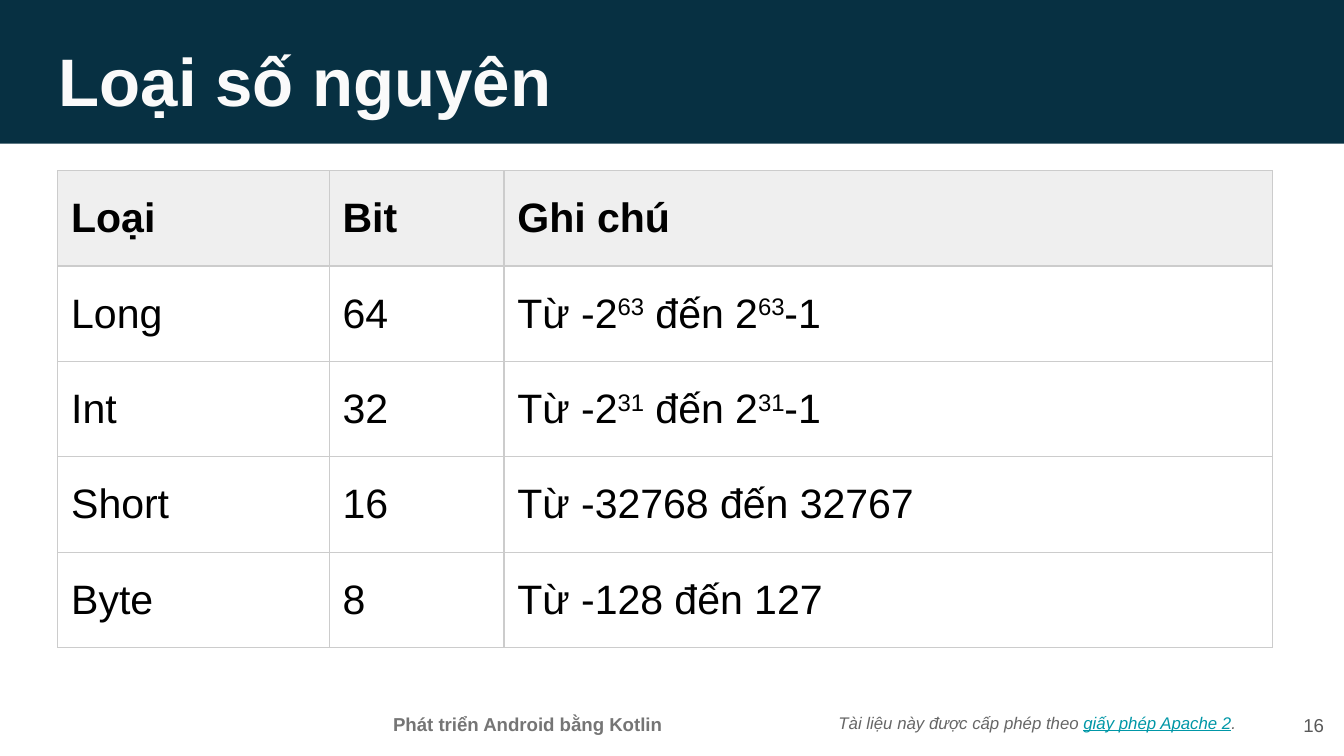
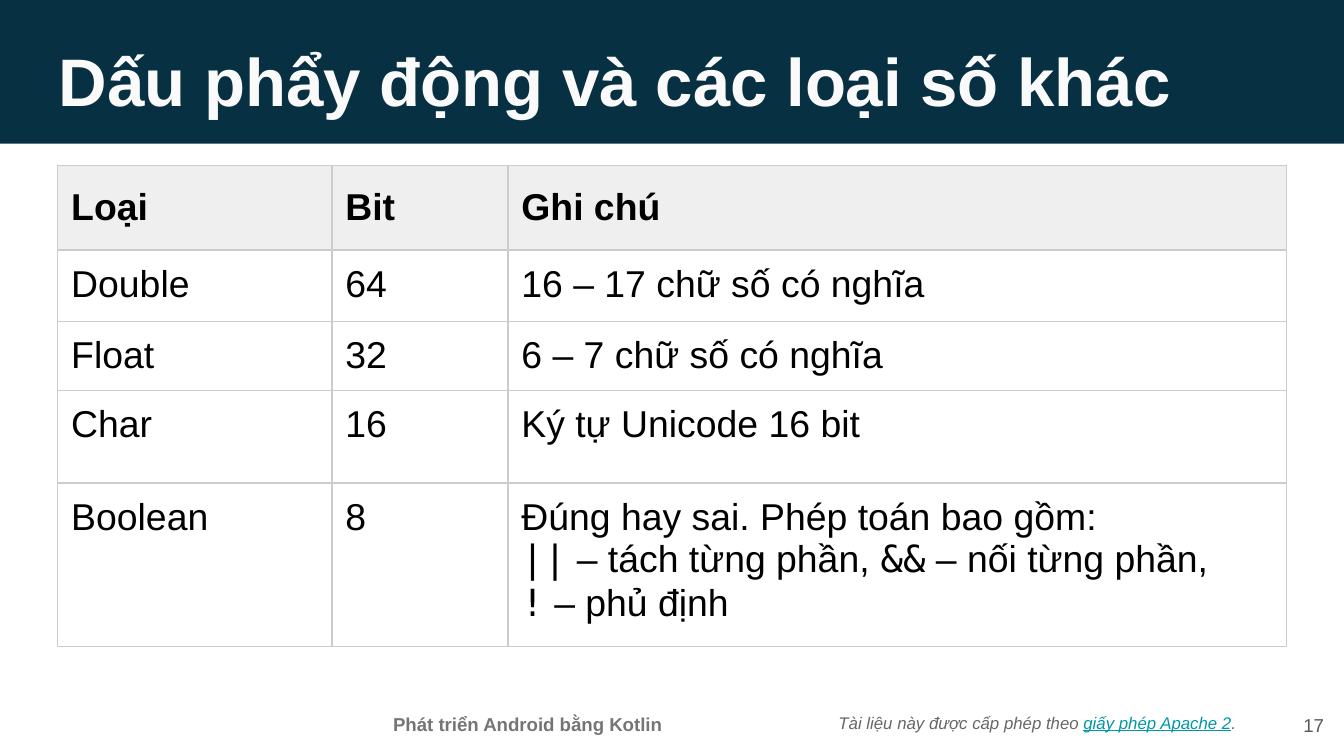
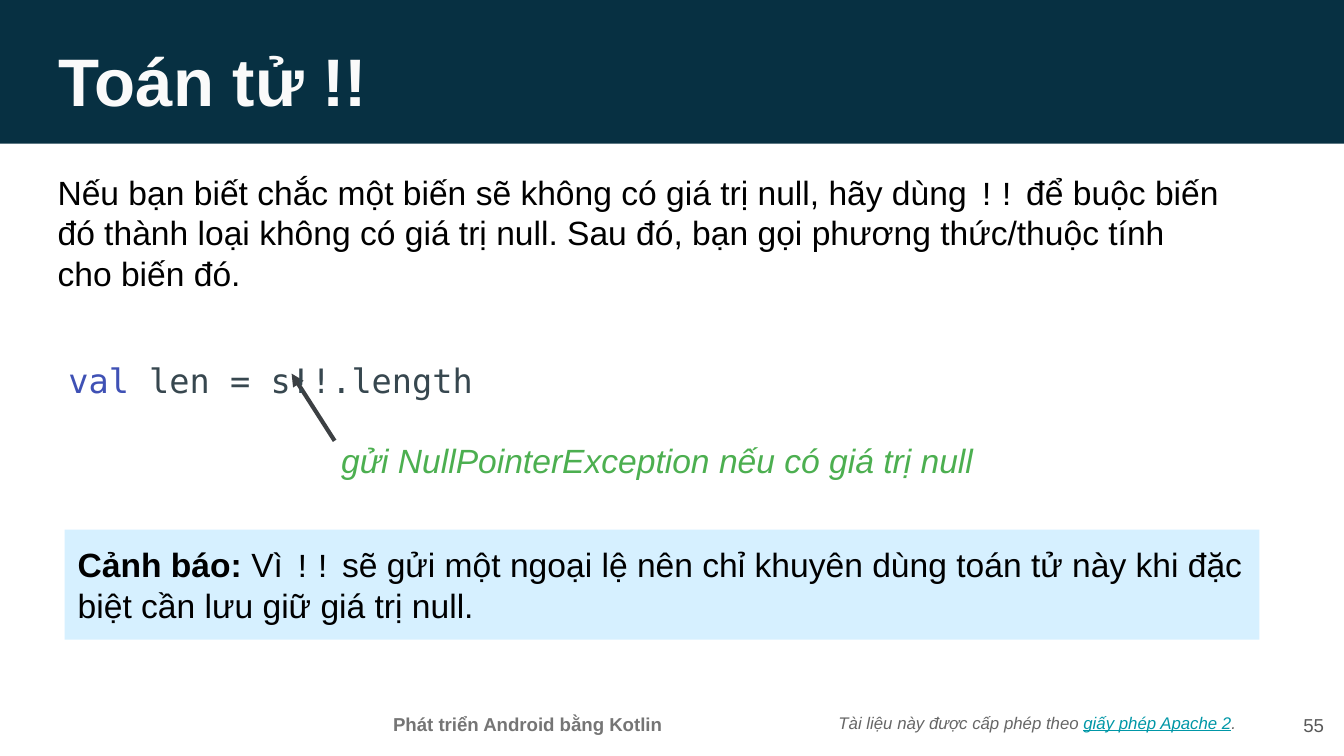
from lxml import etree
from pptx import Presentation
from pptx import util as u
from pptx.dml.color import RGBColor
from pptx.enum import shapes, text
from pptx.oxml import ns

SANS, MONO, COURIER = "Arial", "DejaVu Sans Mono", "Courier New"
NAVY, BLACK, GRID, HEADER = "073042", "000000", "CCCCCC", "EFEFEF"
MIDDLE, TOP = text.MSO_ANCHOR.MIDDLE, text.MSO_ANCHOR.TOP
LEFT, CENTER, RIGHT = text.PP_ALIGN.LEFT, text.PP_ALIGN.CENTER, text.PP_ALIGN.RIGHT
rgb = RGBColor.from_string


def add_runs(p, runs, size, color=BLACK, bold=False, italic=False, font=SANS):
    """Fill a paragraph from a string or a list of strings and (text, changes)."""
    for run in [runs] if isinstance(runs, str) else runs:
        words, changes = (run, {}) if isinstance(run, str) else run
        r = p.add_run()
        r.text = words
        r.font.size = u.Pt(size)
        r.font.name = changes.get("font", font)
        r.font.bold = changes.get("bold", bold)
        r.font.italic = italic
        r.font.color.rgb = rgb(changes.get("color", color))
        if "underline" in changes:
            r.font.underline = True
        if "raised" in changes:
            r.font._element.set("baseline", "30000")


def add_box(s, box, runs, size, fill=None, anchor=TOP, align=LEFT, spacing=None, **style):
    """Add a text box, or a filled rectangle when a fill is given."""
    box = [u.Inches(v) for v in box]
    if fill:
        sp = s.shapes.add_shape(shapes.MSO_SHAPE.RECTANGLE, *box)
        sp.shadow.inherit = False
        sp.fill.solid()
        sp.fill.fore_color.rgb = rgb(fill)
        sp.line.fill.background()
    else:
        sp = s.shapes.add_textbox(*box)
    tf = sp.text_frame
    tf.word_wrap = True
    tf.vertical_anchor = anchor
    tf.margin_left = tf.margin_right = tf.margin_top = tf.margin_bottom = u.Inches(0.1)
    p = tf.paragraphs[0]
    p.alignment = align
    if spacing:
        p.line_spacing = spacing
    add_runs(p, runs, size, **style)


# Widescreen 16:9
prs = Presentation()
prs.slide_width = u.Inches(10)
prs.slide_height = u.Inches(10 * 9 / 16)

# Shared band, title, footers and page number
slides = []
for title, page in [
    ("Loại số nguyên", "16"),
    ("Dấu phẩy động và các loại số khác", "17"),
    ("Toán tử !!", "55"),
]:
    s = prs.slides.add_slide(prs.slide_layouts[6])
    s.background.fill.solid()
    s.background.fill.fore_color.rgb = rgb("FFFFFF")
    licence = ["Tài liệu này được cấp phép theo ",
               ("giấy phép Apache 2", {"color": "0097A7", "underline": True}), "."]
    add_box(s, (6.14, 5.14, 3.31, 0.47), licence, 9, anchor=MIDDLE,
            color="666666", italic=True)
    add_box(s, (-0.01, -0.04, 10.01, 1.11), [], 36, fill=NAVY)
    add_box(s, (2.51, 5.22, 2.83, 0.32), "Phát triển Android bằng Kotlin", 10,
            align=CENTER, color="757575", bold=True)
    add_box(s, (0.34, 0.19, 9.32, 0.63), title, 36, color="FAFAFA", bold=True)
    add_box(s, (9.35, 5.18, 0.6, 0.43), page, 10, anchor=MIDDLE, align=RIGHT,
            color="595959")
    slides.append(s)

# Table contents: a cell is a string or a list of paragraphs
head = ["Loại", "Bit", "Ghi chú"]
power_63, power_31 = [
    [["Từ -2", (n, {"raised": True}), " đến 2", (n, {"raised": True}), "-1"]]
    for n in ("63", "31")
]
integers = [
    head,
    ["Long", "64", power_63],
    ["Int", "32", power_31],
    ["Short", "16", "Từ -32768 đến 32767"],
    ["Byte", "8", "Từ -128 đến 127"],
]
code = {"font": MONO}
boolean_notes = [
    "Đúng hay sai. Phép toán bao gồm:",
    [("||", code), " – tách từng phần, ", ("&&", code), " – nối từng phần,"],
    [("!", code), " – phủ định"],
]
others = [
    head,
    ["Double", "64", "16 – 17 chữ số có nghĩa"],
    ["Float", "32", "6 – 7 chữ số có nghĩa"],
    ["Char", "16", "Ký tự Unicode 16 bit"],
    ["Boolean", "8", boolean_notes],
]

# Tables of number types
for s, top, rows, widths, heights, size, body_anchor in [
    (slides[0], 1.27, integers, [2.02, 1.3, 5.72], [0.71] * 5, 22, MIDDLE),
    (slides[1], 1.23, others, [2.04, 1.31, 5.79], [0.63, 0.53, 0.5, 0.69, 1.22], 20, TOP),
]:
    tbl = s.shapes.add_table(len(rows), len(widths), u.Inches(0.43), u.Inches(top),
                             u.Inches(sum(widths)), u.Inches(sum(heights))).table
    tbl.first_row = tbl.horz_banding = False
    for col, width in zip(tbl.columns, widths):
        col.width = u.Inches(width)
    for i, row in enumerate(rows):
        tbl.rows[i].height = u.Inches(heights[i])
        anchor = MIDDLE if i == 0 else body_anchor
        for j, content in enumerate(row):
            cell = tbl.cell(i, j)
            cell.margin_left = cell.margin_right = cell.margin_top = u.Inches(0.1)
            cell.margin_bottom = u.Inches(0.1 if anchor == MIDDLE else 0.08)
            cell.vertical_anchor = anchor
            tcPr = cell._tc.get_or_add_tcPr()
            for side in ("lnL", "lnR", "lnT", "lnB"):
                ln = etree.SubElement(tcPr, ns.qn(f"a:{side}"), w=str(u.Pt(0.75)))
                fill = etree.SubElement(ln, ns.qn("a:solidFill"))
                etree.SubElement(fill, ns.qn("a:srgbClr"), val=GRID)
            if i == 0:
                cell.fill.solid()
                cell.fill.fore_color.rgb = rgb(HEADER)
            else:
                cell.fill.background()
            tf = cell.text_frame
            for k, runs in enumerate([content] if isinstance(content, str) else content):
                p = tf.add_paragraph() if k else tf.paragraphs[0]
                add_runs(p, runs, size, bold=i == 0)

# Exception note and its arrow
s = slides[2]
add_box(s, (2.44, 3.13, 6.71, 0.63), "gửi NullPointerException nếu có giá trị null", 18,
        spacing=1.15, color="4CAF50", italic=True)
arrow = s.shapes.add_connector(shapes.MSO_CONNECTOR.STRAIGHT, u.Inches(2.49),
                               u.Inches(3.28), u.Inches(2.17), u.Inches(2.78))
arrow.line.color.rgb = rgb("3C4043")
arrow.line.width = u.Pt(2.25)
etree.SubElement(arrow.line._get_or_add_ln(), ns.qn("a:tailEnd"), type="triangle")
etree.SubElement(arrow._element.spPr, ns.qn("a:effectLst"))

# Explanation, warning and code line
bangs = ("!!", {"font": COURIER})
add_box(s, (0.33, 1.18, 8.89, 0.77), [
    "Nếu bạn biết chắc một biến sẽ không có giá trị null, hãy dùng ", bangs,
    " để buộc biến đó thành loại không có giá trị null. Sau đó, bạn gọi phương "
    "thức/thuộc tính cho biến đó."], 18)
add_box(s, (0.48, 3.94, 8.89, 0.82), [
    ("Cảnh báo: ", {"bold": True}), "Vì ", bangs,
    " sẽ gửi một ngoại lệ nên chỉ khuyên dùng toán tử này khi đặc biệt cần lưu giữ "
    "giá trị null."], 18, fill="D6F0FF", anchor=MIDDLE)
add_box(s, (0.41, 2.43, 3.61, 0.63), [("val", {"color": "3F51B5"}), " len = s!!.length"],
        18, spacing=1.5, color="37474F", font=MONO)

prs.save("out.pptx")
